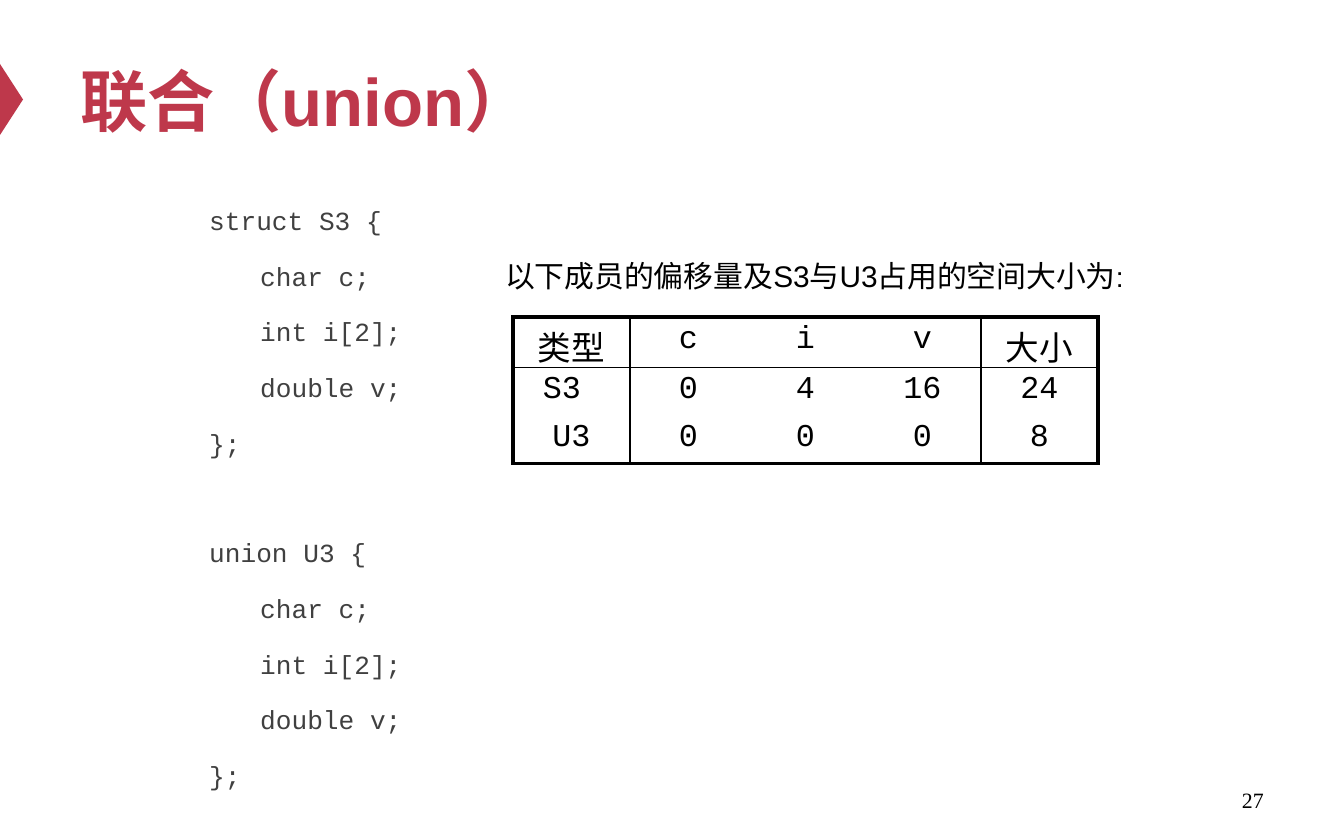
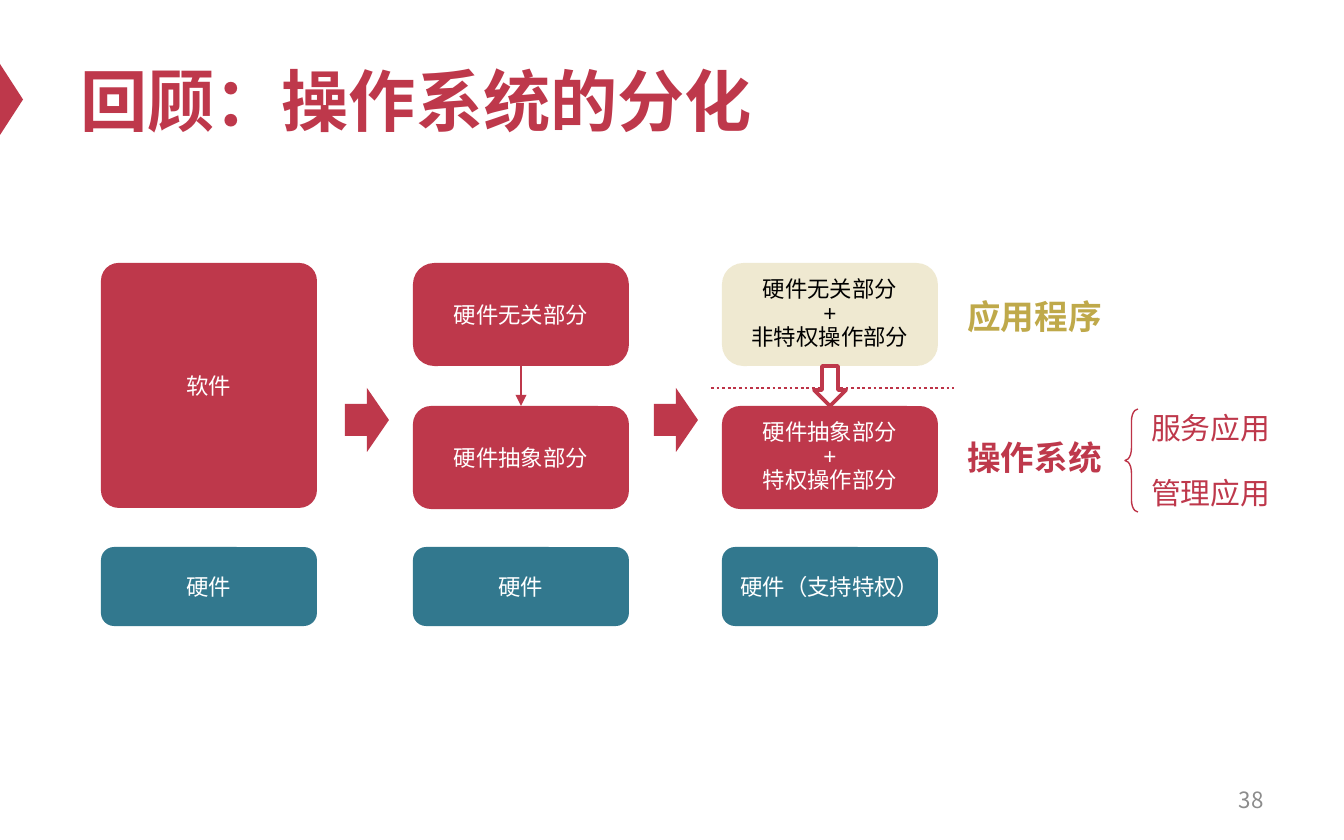
"""Build two lecture slides: a union layout table and an operating system diagram."""
from lxml import etree
from pptx import Presentation
from pptx import util as u
from pptx.dml.color import RGBColor
from pptx.enum import dml, shapes, text
from pptx.oxml import ns

SCALE = 914400 / 134.4
RED, BRACE_RED, TEAL = "BE384B", "BD3347", "32788E"
CREAM, GOLD, GRAY = "EFE9D1", "BFA94A", "8C8C8C"
BLACK, WHITE, CODE_GRAY = "000000", "FFFFFF", "404040"
SANS, MONO, COMIC, CJK, SERIF = (
    "Arial", "Courier New", "Comic Neue", "Noto Sans CJK SC", "Times New Roman")
MIDDLE, TOP = text.MSO_ANCHOR.MIDDLE, text.MSO_ANCHOR.TOP
LEFT, CENTER, RIGHT = text.PP_ALIGN.LEFT, text.PP_ALIGN.CENTER, text.PP_ALIGN.RIGHT
SHAPE = shapes.MSO_SHAPE

MEMBERS = ["\tchar c;", "\tint i[2];", "\tdouble v;", "};"]
CODE = ["struct S3 {", *MEMBERS, "union U3 {", *MEMBERS]
CODE_INDENT = 51
CAPTION = [("以下成员的偏移量及S3与U3占用的空间大小为", 16), (":", 15)]

OFFSETS = [
    ["类型", "c", "i", "v", "大小"],
    ["S3 ", "0", "4", "16", "24"],
    ["U3", "0", "0", "0", "8"],
]
COLUMN_RULES = {0: 2.25, 1: 1, 4: 1, 5: 2.25}
ROW_RULES = {0: 2.25, 1: 1, 3: 2.25}

STAGE_LEFTS = [101, 413, 722]
STAGE_WIDTH = 216
UPPER, LOWER, WHOLE, HARDWARE = (263, 103), (406, 103), (263, 245), (547, 79)
BLOCKS = [
    (0, WHOLE, 0.082, RED, WHITE, ["软件"]),
    (0, HARDWARE, 0.166, TEAL, WHITE, ["硬件"]),
    (1, UPPER, 0.207, RED, WHITE, ["硬件无关部分"]),
    (1, HARDWARE, 0.166, TEAL, WHITE, ["硬件"]),
    (1, LOWER, 0.176, RED, WHITE, ["硬件抽象部分"]),
    (2, UPPER, 0.207, CREAM, BLACK, ["硬件无关部分", "+", "非特权操作部分"]),
    (2, HARDWARE, 0.166, TEAL, WHITE, ["硬件（支持特权）"]),
    (2, LOWER, 0.176, RED, WHITE, ["硬件抽象部分", "+", "特权操作部分"]),
]
LABELS = [
    ("操作系统", (954, 430, 163, 54), 18, RED, True),
    ("应用程序", (954, 289, 163, 54), 18, GOLD, True),
    ("服务应用", (1138, 403, 148, 50), 16, RED, False),
    ("管理应用", (1138, 468, 148, 50), 16, RED, False),
]


def px(length):
    return u.Emu(round(length * SCALE))


def place(box):
    return [px(length) for length in box]


def color(value):
    return RGBColor.from_string(value)


def add_run(paragraph, words, size, font, ink, bold=False):
    run = paragraph.add_run()
    run.text = words
    run.font.size = u.Pt(size)
    run.font.bold = bold
    run.font.color.rgb = color(ink)
    run.font.name = font
    east_asian = etree.SubElement(run.font._element, ns.qn("a:ea"))
    east_asian.set("typeface", CJK)


def fill_frame(frame, lines, size, font, ink, bold=False, align=LEFT, anchor=TOP):
    frame.vertical_anchor = anchor
    for number, line in enumerate(lines):
        paragraph = frame.add_paragraph() if number else frame.paragraphs[0]
        paragraph.alignment = align
        if len(lines) > 1:
            paragraph.line_spacing = 0.9
        add_run(paragraph, line, size, font, ink, bold)


def add_frame(slide, box, wrap=True):
    frame = slide.shapes.add_textbox(*place(box)).text_frame
    frame.word_wrap = wrap
    return frame


def add_shape(slide, kind, box, fill=None, line=None, width=1, adjustments=()):
    shape = slide.shapes.add_shape(kind, *place(box))
    shape.shadow.inherit = False
    if fill:
        shape.fill.solid()
        shape.fill.fore_color.rgb = color(fill)
    else:
        shape.fill.background()
    if line:
        shape.line.color.rgb = color(line)
        shape.line.width = u.Pt(width)
    else:
        shape.line.fill.background()
    for index, value in enumerate(adjustments):
        shape.adjustments[index] = value
    return shape


def add_line(slide, ends, ink, width, dash=None, arrow=False):
    connector = slide.shapes.add_connector(shapes.MSO_CONNECTOR.STRAIGHT, *place(ends))
    connector.line.color.rgb = color(ink)
    connector.line.width = u.Pt(width)
    if dash:
        connector.line.dash_style = dash
    properties = connector._element.spPr
    if arrow:
        line = properties.find(ns.qn("a:ln"))
        etree.SubElement(line, ns.qn("a:tailEnd")).set("type", "triangle")
    etree.SubElement(properties, ns.qn("a:effectLst"))


def add_slide(presentation, title, number, number_size, number_font, number_ink):
    slide = presentation.slides.add_slide(presentation.slide_layouts[6])
    marker = add_shape(slide, SHAPE.ISOSCELES_TRIANGLE, (-24, 88, 71, 23), RED)
    marker.rotation = 90
    fill_frame(add_frame(slide, (67, 34, 1210, 132)), [title], 36, SANS, RED,
               bold=True, anchor=MIDDLE)
    fill_frame(add_frame(slide, (964, 778, 313, 44)), [number], number_size,
               number_font, number_ink, align=RIGHT, anchor=MIDDLE)
    return slide


def set_border(cell, position, side, width):
    line = etree.Element(ns.qn(f"a:ln{side}"))
    if width:
        line.set("w", str(u.Pt(width)))
        fill = etree.SubElement(line, ns.qn("a:solidFill"))
        etree.SubElement(fill, ns.qn("a:srgbClr")).set("val", BLACK)
    else:
        line.set("w", "0")
        etree.SubElement(line, ns.qn("a:noFill"))
    cell._tc.get_or_add_tcPr().insert(position, line)


def add_offset_table(slide):
    rows, columns = len(OFFSETS), len(OFFSETS[0])
    table = slide.shapes.add_table(rows, columns, *place((513, 317, 583, 144))).table
    table.first_row = table.horz_banding = False
    for column in table.columns:
        column.width = px(117)
    for row in table.rows:
        row.height = px(48)
    for r, values in enumerate(OFFSETS):
        for c, value in enumerate(values):
            cell = table.cell(r, c)
            cell.fill.background()
            cell.margin_left = cell.margin_right = px(11)
            cell.margin_top = cell.margin_bottom = px(5)
            size, font = (17, MONO) if value.isascii() else (18, COMIC)
            fill_frame(cell.text_frame, [value], size, font, BLACK, align=CENTER)
            borders = [("L", COLUMN_RULES.get(c)), ("R", COLUMN_RULES.get(c + 1)),
                       ("T", ROW_RULES.get(r)), ("B", ROW_RULES.get(r + 1))]
            for position, (side, width) in enumerate(borders):
                set_border(cell, position, side, width)


def add_code(slide):
    frame = add_frame(slide, (196, 196, 989, 542))
    for number, line in enumerate(CODE):
        paragraph = frame.add_paragraph() if number else frame.paragraphs[0]
        properties = paragraph._p.get_or_add_pPr()
        properties.set("marL", str(px(CODE_INDENT)))
        properties.set("indent", str(-px(CODE_INDENT)))
        paragraph.line_spacing = 1.06
        if number:
            paragraph.space_before = u.Pt(41 if line.startswith("union") else 12)
        add_run(paragraph, line, 14, MONO, CODE_GRAY)


def build_union_slide(presentation):
    slide = add_slide(presentation, "联合（union）", "27", 11.7, SERIF, BLACK)
    add_code(slide)
    add_offset_table(slide)
    caption = add_frame(slide, (492, 251, 738, 50)).paragraphs[0]
    for words, size in CAPTION:
        add_run(caption, words, size, SANS, BLACK)


def build_system_slide(presentation):
    slide = add_slide(presentation, "回顾：操作系统的分化", "38", 12, CJK, GRAY)
    for stage, (top, height), rounding, fill, ink, lines in BLOCKS:
        box = (STAGE_LEFTS[stage], top, STAGE_WIDTH, height)
        block = add_shape(slide, SHAPE.ROUNDED_RECTANGLE, box, fill,
                          adjustments=[rounding])
        fill_frame(block.text_frame, lines, 12, SANS, ink, align=CENTER, anchor=MIDDLE)
    gap_top, gap_bottom = sum(UPPER), LOWER[0]
    split_center, privilege_center = (
        left + STAGE_WIDTH // 2 for left in STAGE_LEFTS[1:])
    add_line(slide, (split_center, gap_top, split_center, gap_bottom), RED, 0.75,
             arrow=True)
    add_line(slide, (711, 388, 954, 388), BRACE_RED, 1.5,
             dash=dml.MSO_LINE.ROUND_DOT)
    add_shape(slide, SHAPE.DOWN_ARROW,
              (privilege_center - 16, gap_top, 32, gap_bottom - gap_top),
              WHITE, RED, 2)
    for words, box, size, ink, bold in LABELS:
        fill_frame(add_frame(slide, box, wrap=False), [words], size, SANS, ink, bold)
    add_shape(slide, SHAPE.LEFT_BRACE, (1125, 409, 13, 103), line=BRACE_RED,
              width=0.75, adjustments=[0.943, 0.5])
    for next_left in STAGE_LEFTS[1:]:
        add_shape(slide, SHAPE.RIGHT_ARROW, (next_left - 68, 388, 44, 64), RED)


def main():
    presentation = Presentation()
    presentation.slide_width, presentation.slide_height = px(1344), px(840)
    build_union_slide(presentation)
    build_system_slide(presentation)
    presentation.save("out.pptx")


if __name__ == "__main__":
    main()
